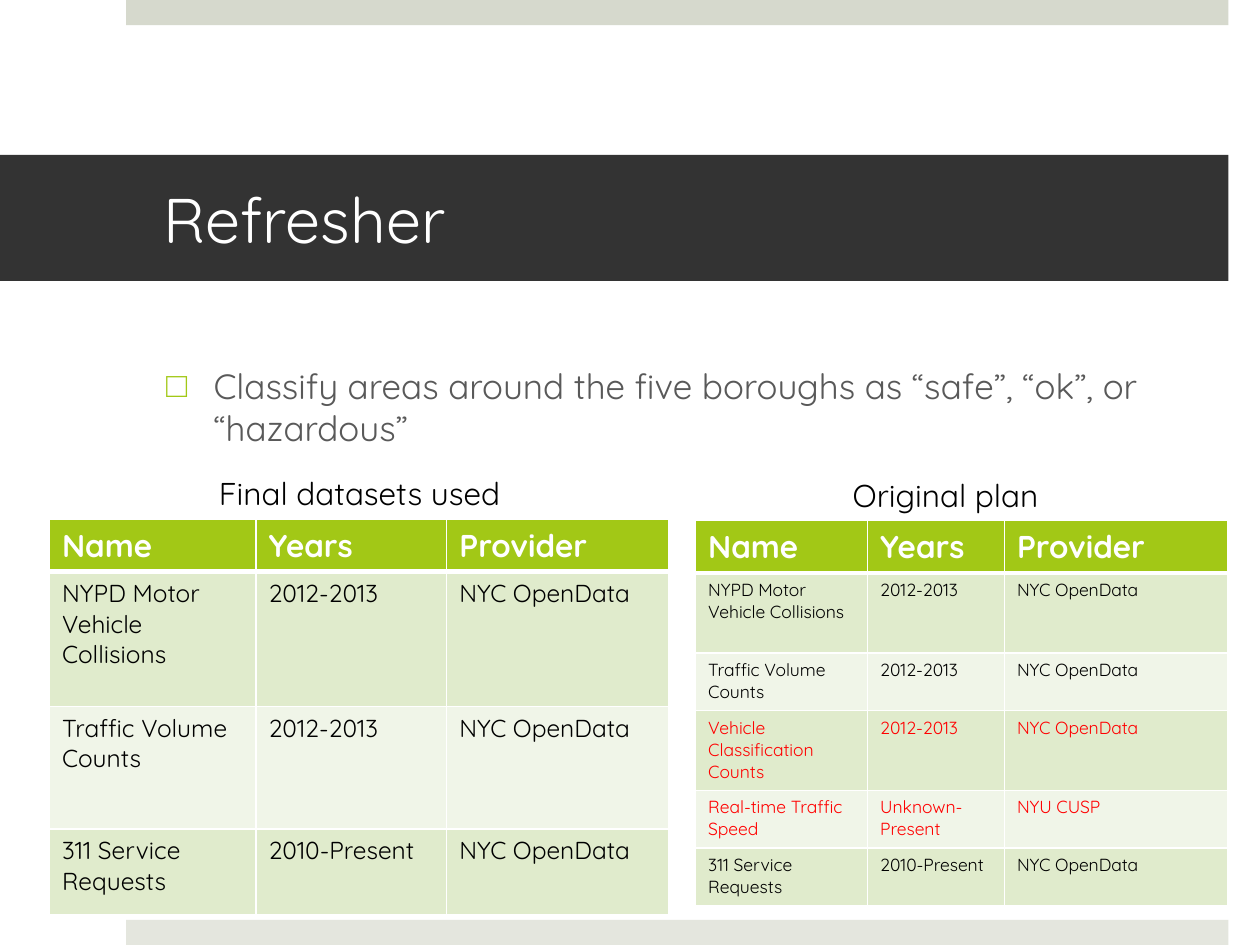
from lxml import etree
from pptx import Presentation
from pptx.dml.color import RGBColor
from pptx.enum import shapes, text
from pptx.oxml import ns
from pptx.util import Pt

WHITE = RGBColor(0xFF, 0xFF, 0xFF)
BLACK = RGBColor(0x00, 0x00, 0x00)
RED = RGBColor(0xFF, 0x00, 0x00)
CHARCOAL = RGBColor(0x33, 0x33, 0x33)
GREY = RGBColor(0x59, 0x59, 0x59)
LIME = RGBColor(0xA2, 0xC8, 0x16)
BANDS = [RGBColor(0xE0, 0xEB, 0xCC), RGBColor(0xF0, 0xF5, 0xE8)]
TOP_BAR = RGBColor(0xD6, 0xD9, 0xCD)
BOTTOM_BAR = RGBColor(0xE4, 0xE6, 0xDE)


def write(tf, content, size, color, bold=False):
    r = tf.paragraphs[0].add_run()
    r.text = content
    for name, value in dict(name="Quicksand", size=Pt(size), bold=bold).items():
        setattr(r.font, name, value)
    r.font.color.rgb = color


def add_border(cell, side, width):
    """Draw a white line on one side (L, R, T or B); call before filling the cell."""
    ln = etree.SubElement(cell._tc.get_or_add_tcPr(), ns.qn(f"a:ln{side}"), w=str(Pt(width)))
    solid = etree.SubElement(ln, ns.qn("a:solidFill"))
    etree.SubElement(solid, ns.qn("a:srgbClr"), val=str(WHITE))


prs = Presentation()
prs.slide_width, prs.slide_height = Pt(720), Pt(540)
s = prs.slides.add_slide(prs.slide_layouts[1])
title, body = s.placeholders

# Edge bars
for top, color in [(0, TOP_BAR), (525.6, BOTTOM_BAR)]:
    sp = s.shapes.add_shape(shapes.MSO_SHAPE.RECTANGLE, Pt(72), Pt(top), Pt(630), Pt(14.4))
    sp.shadow.inherit = False
    sp.fill.solid()
    sp.fill.fore_color.rgb = color
    sp.line.fill.background()

# Title band
title.left, title.top, title.width, title.height = Pt(0), Pt(88.5), Pt(702), Pt(72)
title.fill.solid()
title.fill.fore_color.rgb = CHARCOAL
tf = title.text_frame
title_format = dict(margin_left=Pt(93.6), margin_right=Pt(21.6), word_wrap=True,
                    vertical_anchor=text.MSO_ANCHOR.MIDDLE, auto_size=text.MSO_AUTO_SIZE.NONE)
for name, value in title_format.items():
    setattr(tf, name, value)
tf.paragraphs[0].alignment = text.PP_ALIGN.LEFT
write(tf, "Refresher", 36, WHITE)

# Goal
body.left, body.top, body.width, body.height = Pt(87.8), Pt(204.5), Pt(599), Pt(288.7)
tf = body.text_frame
tf.auto_size = text.MSO_AUTO_SIZE.NONE
p = tf.paragraphs[0]
pPr = p._p.get_or_add_pPr()
pPr.set("marL", str(Pt(27)))
pPr.set("indent", str(Pt(-27)))
bullet_color = etree.SubElement(pPr, ns.qn("a:buClr"))
etree.SubElement(bullet_color, ns.qn("a:srgbClr"), val=str(LIME))
etree.SubElement(pPr, ns.qn("a:buChar"), char="□")
p.space_before = Pt(0)
write(tf, "Classify areas around the five boroughs as “safe”, “ok”, or “hazardous”", 20, GREY)

# Dataset tables with their captions
HEADER = ("Name", "Years", "Provider")
COLLISIONS = ("NYPD Motor Vehicle Collisions", "2012-2013", "NYC OpenData")
VOLUME = ("Traffic Volume Counts", "2012-2013", "NYC OpenData")
CLASSIFICATION = ("Vehicle Classification Counts", "2012-2013", "NYC OpenData")
SPEED = ("Real-time Traffic Speed", "Unknown-Present", "NYU CUSP")
SERVICE = ("311 Service Requests", "2010-Present", "NYC OpenData")
DROPPED = (CLASSIFICATION, SPEED)

tables = [
    dict(caption="Final datasets used", caption_box=(118, 267.1, 182.2, 28.8),
         left=28.3, top=296.9, size=14, cols=(118, 109, 127), heights=(29, 77, 70, 49),
         rows=(HEADER, COLLISIONS, VOLUME, SERVICE)),
    dict(caption="Original plan", caption_box=(480.2, 268.4, 126.7, 28.8),
         left=397.5, top=297.4, size=10, cols=(98.3, 78.2, 127.8),
         heights=(30, 45.7, 33, 45.5, 33, 33),
         rows=(HEADER, COLLISIONS, VOLUME, CLASSIFICATION, SPEED, SERVICE)),
]
for t in tables:
    frame = s.shapes.add_table(len(t["rows"]), len(HEADER), Pt(t["left"]), Pt(t["top"]),
                               Pt(sum(t["cols"])), Pt(sum(t["heights"])))
    table = frame.table
    for col, width in zip(table.columns, t["cols"]):
        col.width = Pt(width)
    for i, (row, height, values) in enumerate(zip(table.rows, t["heights"], t["rows"])):
        row.height = Pt(height)
        for cell, value in zip(row.cells, values):
            for side in "LRTB":
                under_header = (i, side) in ((0, "B"), (1, "T"))
                add_border(cell, side, 3 if under_header else 1)
            cell.fill.solid()
            if i == 0:
                cell.fill.fore_color.rgb = LIME
                write(cell.text_frame, value, 18, WHITE, bold=True)
            else:
                cell.fill.fore_color.rgb = BANDS[(i - 1) % 2]
                write(cell.text_frame, value, t["size"], RED if values in DROPPED else BLACK)

    caption = s.shapes.add_textbox(*map(Pt, t["caption_box"]))
    caption.text_frame.word_wrap = False
    caption.text_frame.auto_size = text.MSO_AUTO_SIZE.SHAPE_TO_FIT_TEXT
    write(caption.text_frame, t["caption"], 18, BLACK)

prs.save("out.pptx")
